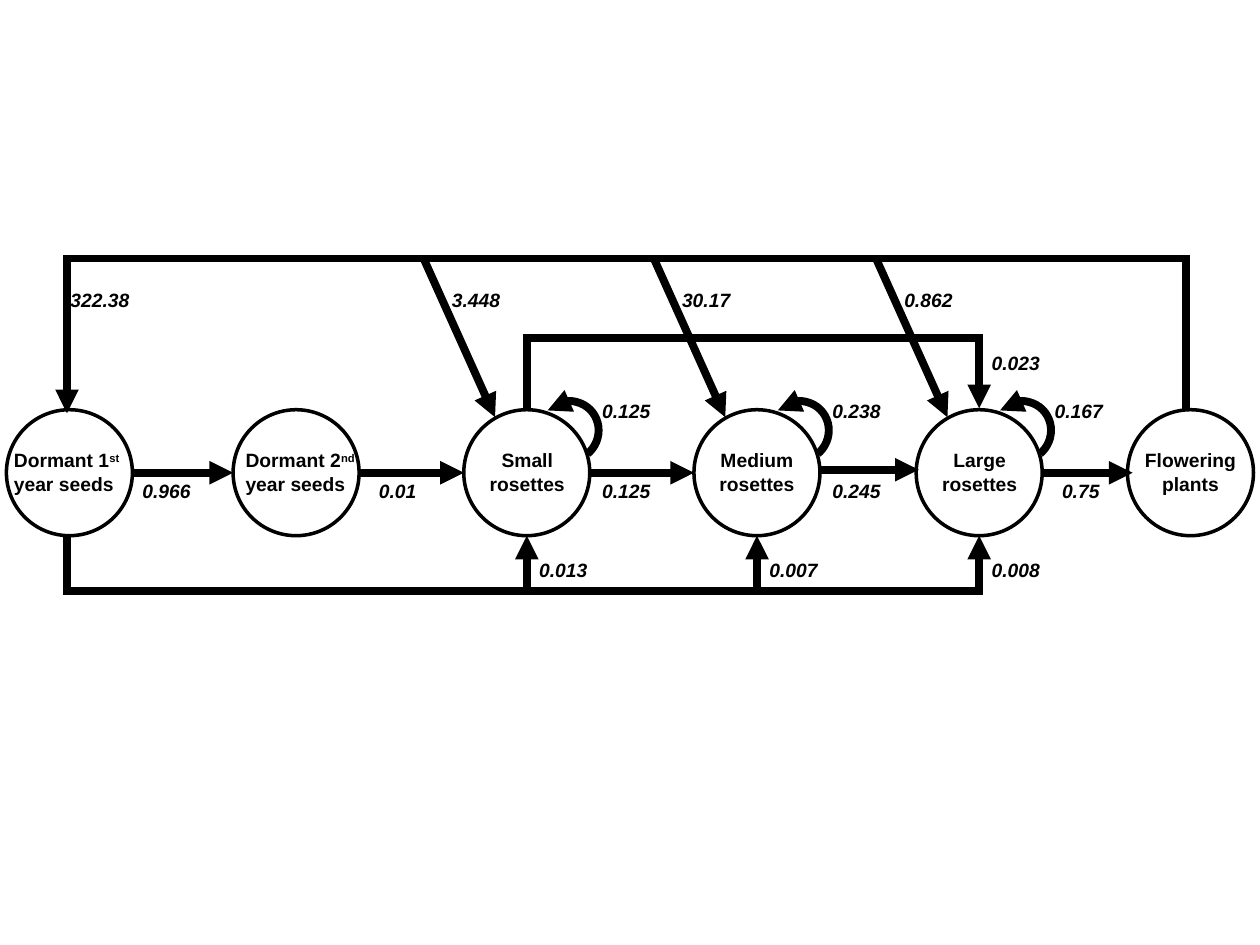
from dataclasses import dataclass
from itertools import pairwise
from typing import NamedTuple

from lxml import etree
from pptx import Presentation
from pptx.dml.color import RGBColor
from pptx.enum.shapes import MSO_CONNECTOR, MSO_SHAPE
from pptx.enum.text import MSO_AUTO_SIZE, PP_ALIGN
from pptx.oxml.ns import qn
from pptx.util import Cm, Pt


@dataclass(frozen=True)
class Theme:
    ink: RGBColor = RGBColor(0, 0, 0)
    paper: RGBColor = RGBColor(255, 255, 255)
    font: str = "Arial"
    text_size: Pt = Pt(11)
    outline: Pt = Pt(2)
    flow: Pt = Pt(4.5)


class Stage(NamedTuple):
    left: float
    lines: list
    text_left: float
    text_width: float
    align: PP_ALIGN

    @property
    def center(self):
        return self.left + DIAMETER / 2

    @property
    def right(self):
        return self.left + DIAMETER


class Diagram:
    def __init__(self, slide, theme):
        self.shapes = slide.shapes
        self.theme = theme

    def stroke(self, shape, width):
        shape.line.color.rgb = self.theme.ink
        shape.line.width = width

    def arrowhead(self, shape, end):
        line = shape.line._get_or_add_ln()
        etree.SubElement(line, qn(f"a:{end}"), type="triangle")

    def line(self, x1, y1, x2, y2, arrow=False):
        line = self.shapes.add_connector(
            MSO_CONNECTOR.STRAIGHT, Cm(x1), Cm(y1), Cm(x2), Cm(y2))
        self.stroke(line, self.theme.flow)
        if arrow:
            self.arrowhead(line, "tailEnd")
        etree.SubElement(line._element.spPr, qn("a:effectLst"))

    def circle(self, left, top, diameter):
        circle = self.shapes.add_shape(
            MSO_SHAPE.OVAL, Cm(left), Cm(top), Cm(diameter), Cm(diameter))
        circle.shadow.inherit = False
        circle.fill.solid()
        circle.fill.fore_color.rgb = self.theme.paper
        self.stroke(circle, self.theme.outline)

    def loop(self, left, top):
        arc = self.shapes.add_shape(
            MSO_SHAPE.ARC, Cm(left), Cm(top), Cm(1.19), Cm(1.22))
        arc.adjustments[0] = 107.81
        arc.adjustments[1] = 3.46
        arc.rotation = 44.6
        arc.fill.background()
        self.stroke(arc, self.theme.flow)
        self.arrowhead(arc, "headEnd")
        arc.shadow.inherit = False

    def text(self, lines, left, top, width, height,
             align=PP_ALIGN.LEFT, italic=False):
        box = self.shapes.add_textbox(Cm(left), Cm(top), Cm(width), Cm(height))
        frame = box.text_frame
        frame.word_wrap = True
        frame.auto_size = MSO_AUTO_SIZE.SHAPE_TO_FIT_TEXT
        for index, parts in enumerate(lines):
            paragraph = frame.add_paragraph() if index else frame.paragraphs[0]
            paragraph.alignment = align
            for position, part in enumerate(parts):
                run = paragraph.add_run()
                run.text = part
                run.font.name = self.theme.font
                run.font.size = self.theme.text_size
                run.font.bold = True
                run.font.italic = italic
                run.font.color.rgb = self.theme.ink
                if position:
                    run._r.get_or_add_rPr().set("baseline", "30000")

    def rate(self, value, left, top, width=1.6):
        self.text([[value]], left, top, width, 0.74, italic=True)


DIAMETER = 2.54
CIRCLE_TOP = 8.26
CIRCLE_BOTTOM = CIRCLE_TOP + DIAMETER
MIDDLE = 9.53
SEED_BUS, SKIP_BUS, GERMINATION_BUS = 5.21, 6.81, 11.91
BUS_HALF = 0.08
SEED_X, FLOWER_X = 1.35, 23.9

LEFT, CENTER = PP_ALIGN.LEFT, PP_ALIGN.CENTER
STAGES = [
    Stage(0.13, [["Dormant 1", "st"], ["year seeds"]], 0.03, 2.77, LEFT),
    Stage(4.7, [["Dormant 2", "nd"], ["year seeds"]], 4.7, 2.87, LEFT),
    Stage(9.35, [["Small rosettes"]], 9.35, 2.56, CENTER),
    Stage(13.99, [["Medium"], ["rosettes"]], 13.98, 2.56, CENTER),
    Stage(18.47, [["Large"], ["rosettes"]], 18.47, 2.56, CENTER),
    Stage(22.73, [["Flowering plants"]], 22.83, 2.34, CENTER),
]
ROSETTES = STAGES[2:5]
SMALL, MEDIUM, LARGE = ROSETTES

GROWTH = [("0.966", -0.05, 0, 0), ("0.01", 0.15, 0, 0), ("0.125", 0, 0, 0),
          ("0.245", 0, 0.05, -0.06), ("0.75", 0.15, 0.1, 0)]
SEEDING = ["3.448", "30.17", "0.862"]
STAYING = ["0.125", "0.238", "0.167"]
GERMINATION = ["0.013", "0.007", "0.008"]

prs = Presentation()
prs.slide_width, prs.slide_height = Cm(25.4), Cm(19.05)
diagram = Diagram(prs.slides.add_slide(prs.slide_layouts[6]), Theme())

diagram.line(FLOWER_X, SEED_BUS, FLOWER_X, CIRCLE_TOP + 0.07)
diagram.line(SMALL.center, SKIP_BUS, SMALL.center, CIRCLE_TOP + 0.07)

for stage in STAGES:
    diagram.circle(stage.left, CIRCLE_TOP, DIAMETER)
    diagram.text(stage.lines, stage.text_left, 8.92,
                 stage.text_width, 1.19, stage.align)

for (source, target), (value, shift, reach, lift) in zip(pairwise(STAGES), GROWTH):
    diagram.line(source.right, MIDDLE + lift,
                 target.left + reach, MIDDLE + lift, arrow=True)
    diagram.rate(value, source.right + shift, MIDDLE)

diagram.line(SEED_X, GERMINATION_BUS, LARGE.center, GERMINATION_BUS)
diagram.line(SEED_X, GERMINATION_BUS + BUS_HALF, SEED_X, CIRCLE_BOTTOM)
diagram.line(SMALL.center - BUS_HALF, SKIP_BUS, LARGE.center + BUS_HALF, SKIP_BUS)
diagram.line(LARGE.center, SKIP_BUS, LARGE.center, CIRCLE_TOP - 0.03, arrow=True)
diagram.rate("0.023", LARGE.center, 6.96)
diagram.line(SEED_X - BUS_HALF, SEED_BUS, FLOWER_X + BUS_HALF, SEED_BUS)
diagram.line(SEED_X, SEED_BUS, SEED_X, CIRCLE_TOP + 0.07, arrow=True)
diagram.rate("322.38", 1.17, 5.69, 1.93)

for stage, seeding, staying, germination in zip(
        ROSETTES, SEEDING, STAYING, GERMINATION):
    x = stage.center
    diagram.line(x - 2.08, SEED_BUS, x - 0.64, 8.41, arrow=True)
    diagram.rate(seeding, x - 1.76, 5.69)
    diagram.loop(x + 0.25, 8.08)
    diagram.rate(staying, stage.right, 7.92)
    diagram.line(x, GERMINATION_BUS + BUS_HALF, x, CIRCLE_BOTTOM, arrow=True)
    diagram.rate(germination, x, 11.13)

prs.save("out.pptx")
